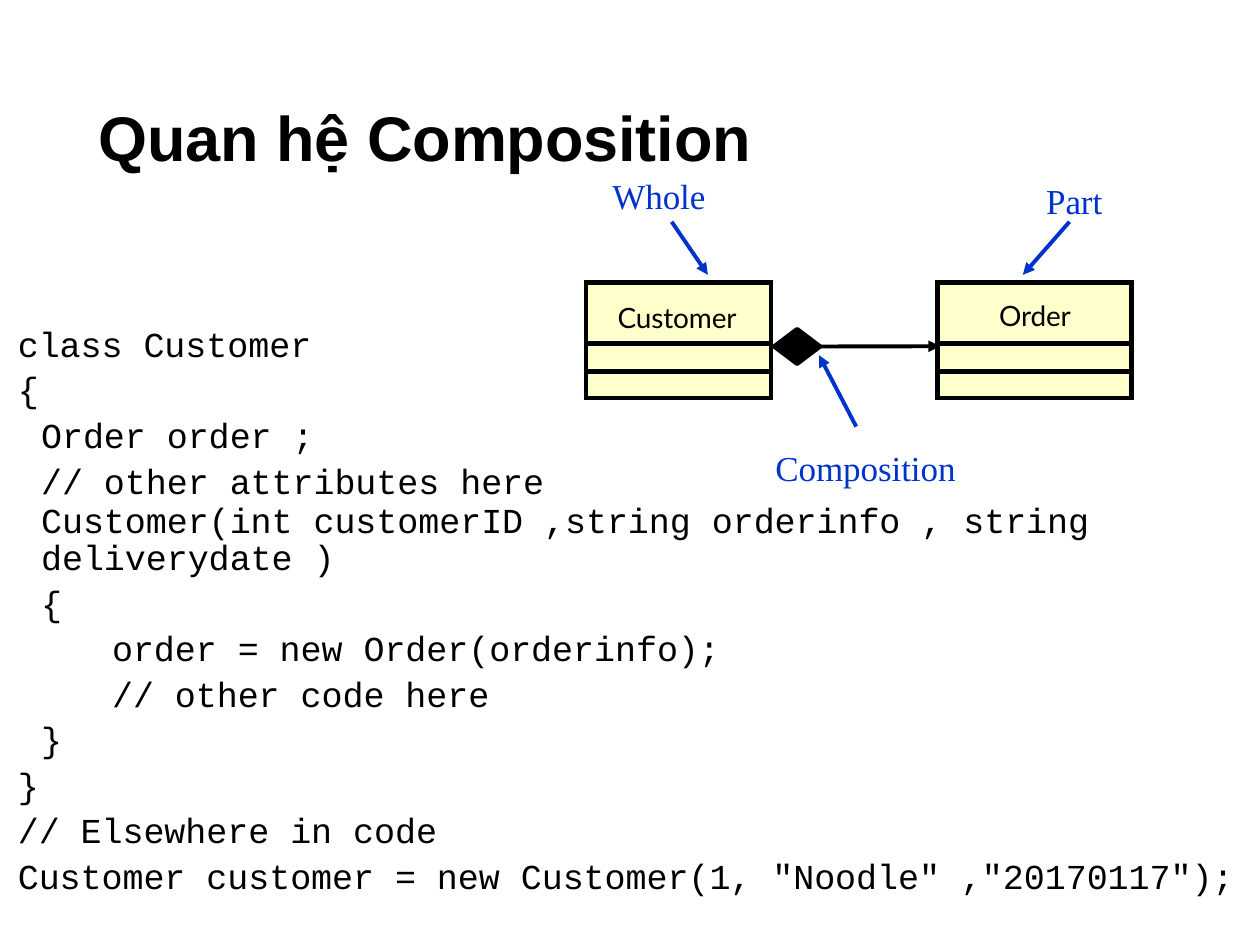
from dataclasses import dataclass

from lxml.etree import SubElement
from pptx import Presentation
from pptx.dml.color import RGBColor
from pptx.enum.shapes import MSO_CONNECTOR as Connector, MSO_SHAPE as Shape
from pptx.enum.text import MSO_ANCHOR as Anchor, MSO_AUTO_SIZE as AutoSize, PP_ALIGN as Align
from pptx.oxml.ns import qn
from pptx.util import Cm, Pt


@dataclass(frozen=True)
class Theme:
    black: RGBColor = RGBColor(0x00, 0x00, 0x00)
    blue: RGBColor = RGBColor(0x00, 0x33, 0xCC)
    yellow: RGBColor = RGBColor(0xFF, 0xFF, 0xCC)
    title: tuple = ("Arial", Pt(36))
    label: tuple = ("Times New Roman", Pt(20))
    code: tuple = ("Courier New", Pt(20))
    uml: tuple = ("Lato", Pt(16))
    empty_row: str = "800"
    line: int = Pt(2.25)
    border: int = Pt(3)


THEME = Theme()

# Code lines: indent in cm, space before in points, text
ATTRIBUTES = [
    (0.03, 0, "class Customer"),
    (0.03, 2, "{"),
    (0.5, 2, "Order order ;"),
    (0.5, 2, "// other attributes here"),
]
CONSTRUCTOR = [
    (0.5, 0, "Customer(int customerID ,string orderinfo , string"),
    (0.5, 0, "deliverydate )"),
    (0.5, 2, "{"),
    (1.93, 2, "order = new Order(orderinfo);"),
    (1.93, 2, "// other code here"),
    (0.5, 2, "}"),
    (0.03, 2, "}"),
    (0.03, 2, "// Elsewhere in code"),
    (0.03, 2, 'Customer customer = new Customer(1, "Noodle" ,"20170117");'),
]
SIGNATURE_LINES = 2


def apply_format(target, values):
    for name, value in values.items():
        setattr(target, name, value)


def write(paragraph, text, style, color, indent=0, bold=False, **layout):
    run = paragraph.add_run()
    run.text = text
    name, size = style
    apply_format(run.font, {"name": name, "size": size, "bold": bold})
    run.font.color.rgb = color
    run.font._element.set("spc", "-5")
    properties = paragraph._p.get_or_add_pPr()
    properties.set("marL", str(Cm(indent)))
    properties.set("indent", "0")
    apply_format(paragraph, layout)


def prepare_frame(frame, top=0.03):
    apply_format(frame, {
        "word_wrap": True, "auto_size": AutoSize.NONE, "vertical_anchor": Anchor.TOP,
        "margin_left": 0, "margin_right": 0, "margin_top": Cm(top), "margin_bottom": 0,
    })
    return frame


def add_text_box(slide, left, top, width, height, inset=0.03):
    box = slide.shapes.add_textbox(Cm(left), Cm(top), Cm(width), Cm(height))
    return prepare_frame(box.text_frame, inset)


def add_label(slide, text, left, top, width):
    frame = add_text_box(slide, left, top, width, 0.91)
    write(frame.paragraphs[0], text, THEME.label, THEME.blue, 0.03)


def add_code(slide, lines, left, top, width, height, inset, tight_lines=0):
    frame = add_text_box(slide, left, top, width, height, inset)
    for index, (indent, before, text) in enumerate(lines):
        paragraph = frame.add_paragraph() if index else frame.paragraphs[0]
        layout = {"space_before": Pt(before)}
        if index < tight_lines:
            layout["line_spacing"] = Pt(21)
        write(paragraph, text, THEME.code, THEME.black, indent, **layout)


def add_borders(cell):
    properties = cell._tc.get_or_add_tcPr()
    for side in ("a:lnL", "a:lnR", "a:lnT", "a:lnB"):
        line = SubElement(properties, qn(side), w=str(THEME.border))
        fill = SubElement(line, qn("a:solidFill"))
        SubElement(fill, qn("a:srgbClr"), val=str(THEME.black))


def add_class_box(slide, name, left, width, indent, inset):
    heights = (1.24, 0.56, 0.53)
    frame = slide.shapes.add_table(
        len(heights), 1, Cm(left), Cm(5.69), Cm(width), Cm(sum(heights)))
    table = frame.table
    apply_format(table, {"first_row": False, "horz_banding": False})
    for index, height in enumerate(heights):
        table.rows[index].height = Cm(height)
        cell = table.cell(index, 0)
        add_borders(cell)
        cell.fill.solid()
        cell.fill.fore_color.rgb = THEME.yellow
        apply_format(cell, {"margin_left": 0, "margin_right": 0,
                            "margin_top": 0, "margin_bottom": 0})
        paragraph = cell.text_frame.paragraphs[0]
        if index == 0:
            cell.margin_top = Cm(inset)
            write(paragraph, name, THEME.uml, THEME.black, indent)
        else:
            SubElement(paragraph._p, qn("a:endParaRPr"), sz=THEME.empty_row)


def add_arrow(slide, start, end, color):
    arrow = slide.shapes.add_connector(
        Connector.STRAIGHT, *(Cm(value) for value in (*start, *end)))
    arrow.line.width = THEME.line
    arrow.line.color.rgb = color
    SubElement(arrow.line._get_or_add_ln(), qn("a:tailEnd"), type="triangle")
    SubElement(arrow._element.spPr, qn("a:effectLst"))
    return arrow


def add_diamond(slide, left, top, width, height):
    diamond = slide.shapes.add_shape(
        Shape.DIAMOND, Cm(left), Cm(top), Cm(width), Cm(height))
    diamond.shadow.inherit = False
    diamond.fill.solid()
    diamond.fill.fore_color.rgb = THEME.black
    diamond.line.color.rgb = THEME.black
    diamond.line.width = THEME.line
    return diamond


def add_title(slide):
    title = slide.shapes.title
    apply_format(title, {"left": Cm(1.96), "top": Cm(1.96),
                         "width": Cm(13.26), "height": Cm(2.44)})
    frame = prepare_frame(title.text_frame)
    write(frame.paragraphs[0], "Quan hệ Composition", THEME.title, THEME.black,
          0.03, bold=True, alignment=Align.LEFT)
    # The label of the whole sits below the heading, at the right
    whole = frame.add_paragraph()
    write(whole, "Whole", THEME.label, THEME.blue, alignment=Align.RIGHT)
    whole._p.get_or_add_pPr().set("marR", str(Cm(1)))


def main():
    presentation = Presentation()
    apply_format(presentation, {"slide_width": Cm(25.4), "slide_height": Cm(19.05)})
    slide = presentation.slides.add_slide(presentation.slide_layouts[5])
    add_title(slide)

    # Class diagram
    add_class_box(slide, "Customer", 11.81, 3.73, 0.64, 0.38)
    add_class_box(slide, "Order", 18.9, 3.91, 1.24, 0.33)
    diamond = add_diamond(slide, 15.6, 6.63, 0.94, 0.71)
    association = add_arrow(slide, (16.54, 6.98), (18.95, 6.98), THEME.black)
    association.begin_connect(diamond, 3)

    # Labels and their pointers
    add_label(slide, "Composition", 15.6, 8.97, 3.9)
    add_label(slide, "Part", 21.06, 3.58, 1.4)
    for start, end in (((13.54, 4.47), (14.27, 5.54)),
                       ((21.56, 4.47), (20.62, 5.54)),
                       ((17.26, 8.6), (16.51, 7.16))):
        add_arrow(slide, start, end, THEME.blue)

    # Code listing
    add_code(slide, ATTRIBUTES, 0.33, 6.4, 10.72, 3.73, 0.1)
    add_code(slide, CONSTRUCTOR, 0.33, 10.13, 24.61, 8, 0.03, SIGNATURE_LINES)

    presentation.save("out.pptx")


if __name__ == "__main__":
    main()
